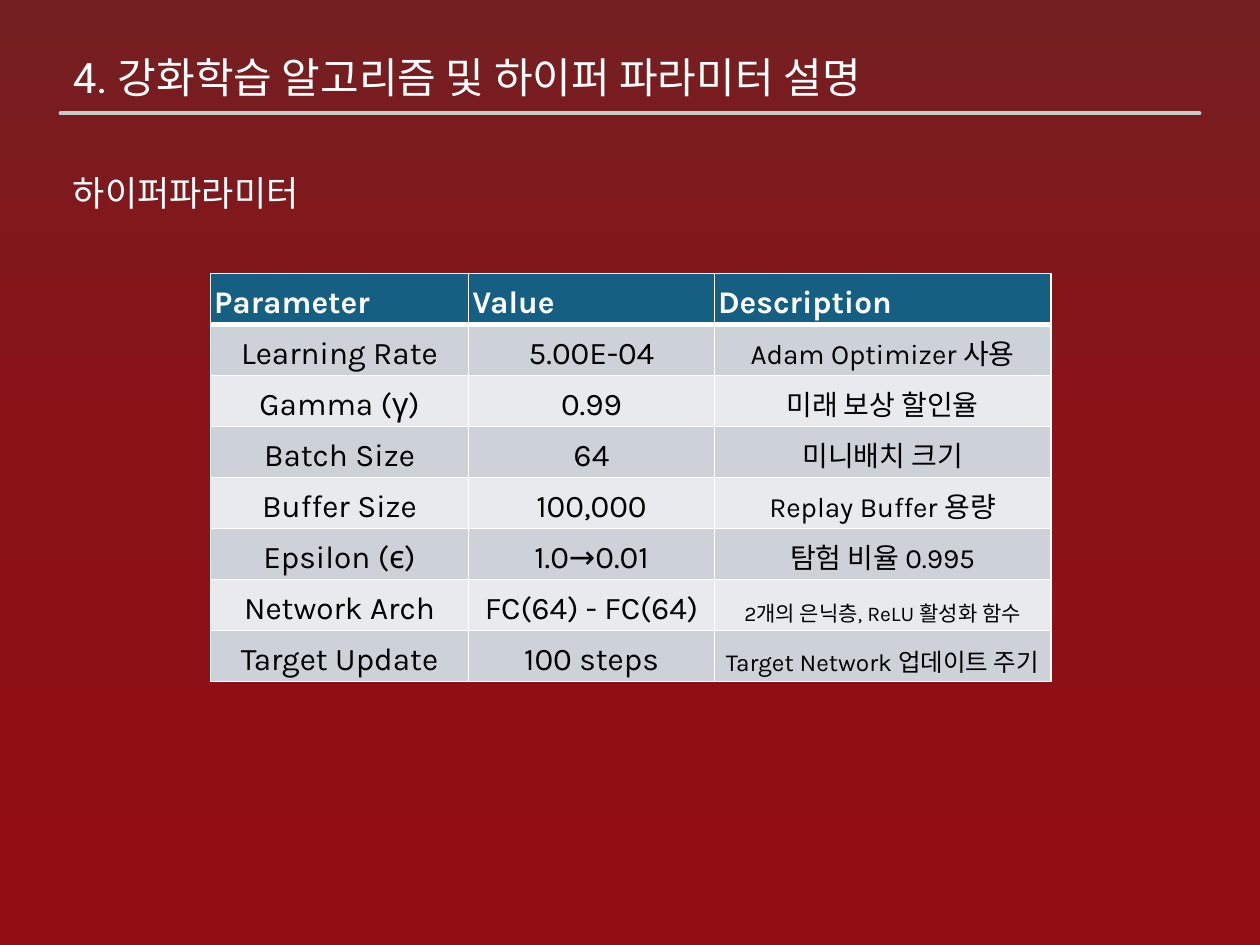
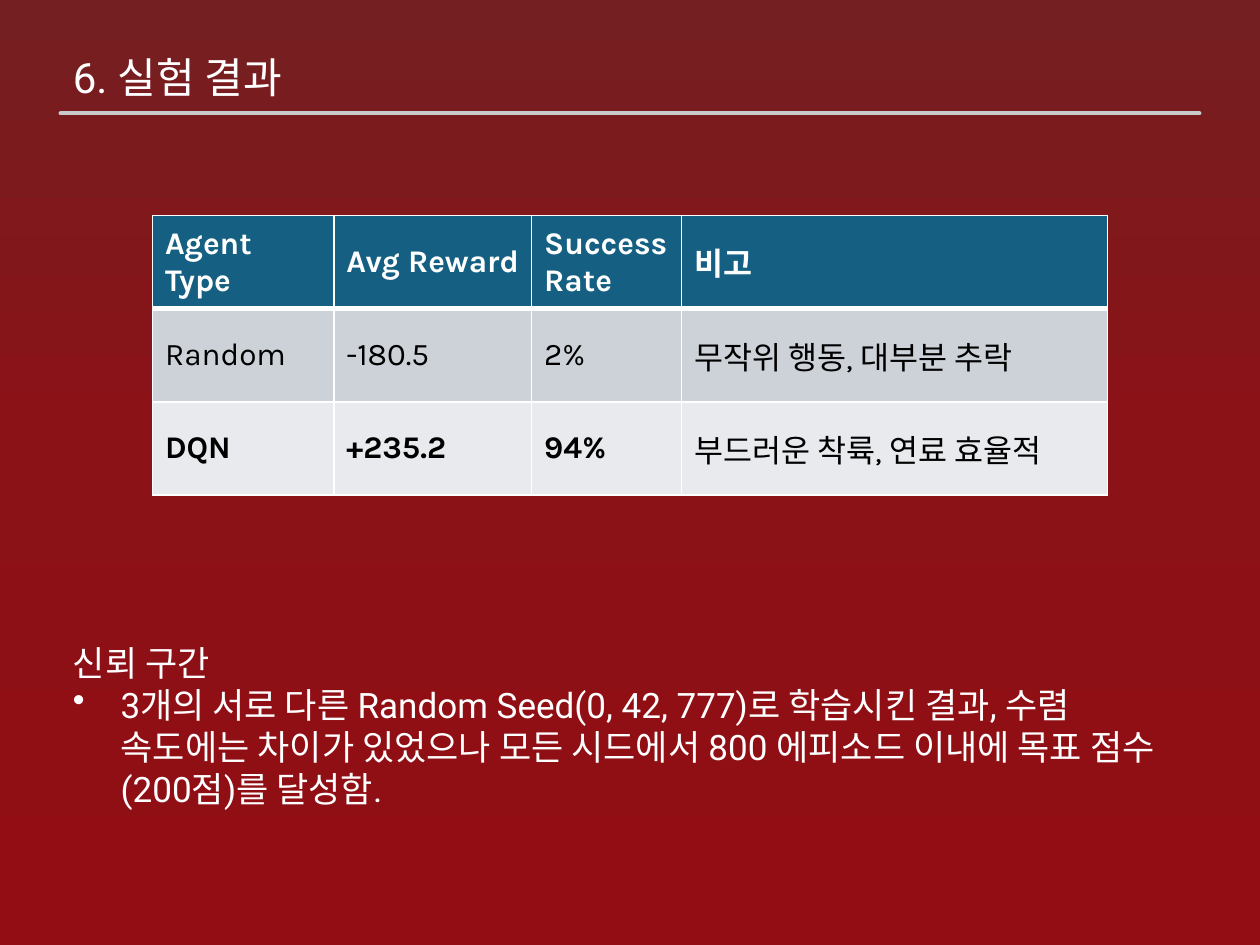
from lxml import etree
from pptx import Presentation
from pptx import util as u
from pptx.dml.color import RGBColor
from pptx.enum import shapes, text
from pptx.oxml.ns import qn

WHITE, BLACK, RULE = "FFFFFF", "000000", "C9CACA"
HEAD, BANDS = "156082", ("CCD2D8", "E8EAED")
GLOW = ((0, "741F21"), (46, "8B1217"), (100, "920D14"))
LEFT, WIDE = 0.48, 9.04
MID, LOW = text.MSO_ANCHOR.MIDDLE, text.MSO_ANCHOR.BOTTOM

PARAMS = (
    ("Parameter", "Value", "Description"),
    ("Learning Rate", "5.00E-04", "Adam Optimizer 사용"),
    ("Gamma (γ)", "0.99", "미래 보상 할인율"),
    ("Batch Size", "64", "미니배치 크기"),
    ("Buffer Size", "100,000", "Replay Buffer 용량"),
    ("Epsilon (ϵ)", "1.0→0.01", "탐험 비율 0.995"),
    ("Network Arch", "FC(64) - FC(64)", "2개의 은닉층, ReLU 활성화 함수"),
    ("Target Update", "100 steps", "Target Network 업데이트 주기"),
)
NOTES = (16, 16, 16, 16, 16, 12, 14)
SCORES = (
    ("Agent Type", "Avg Reward", "Success Rate", "비고"),
    ("Random", "-180.5", "2%", "무작위 행동, 대부분 추락"),
    ("DQN", "+235.2", "94%", "부드러운 착륙, 연료 효율적"),
)
SEEDS = ("3개의 서로 다른 Random Seed(0, 42, 777)로 학습시킨 결과, 수렴 속도에는 차이가 있었으나 "
         "모든 시드에서 800 에피소드 이내에 목표 점수(200점)를 달성함.")


def color(code):
    return RGBColor.from_string(code)


def node(root, tag, **attrs):
    return etree.SubElement(root, qn(tag), attrs)


class Deck:
    """Holds the shared style and the current slide."""

    def __init__(self):
        self.prs = Presentation()
        self.prs.slide_width = u.Inches(10)
        self.prs.slide_height = u.Inches(7.5)
        self.slide = None

    def page(self, title):
        self.slide = self.prs.slides.add_slide(self.prs.slide_layouts[6])
        fill = self.slide.background.fill
        fill.gradient()
        fill.gradient_angle = 270
        stops = next(self.slide.element.iter(qn("a:gsLst")))
        for old in list(stops):
            stops.remove(old)
        for pos, code in GLOW:
            stop = node(stops, "a:gs", pos=str(pos * 1000))
            node(stop, "a:srgbClr", val=code)
        self.label((title,), 0.36, 9.15, 0.5, 24)
        self.rule(0.9)

    def style(self, para, size, code, face="Roboto", bold=False):
        font = para.font
        font.name, font.size, font.bold = face, u.Pt(size), bold
        font.color.rgb = color(code)

    def label(self, lines, top, width, height, size):
        box = self.slide.shapes.add_textbox(
            u.Inches(LEFT), u.Inches(top), u.Inches(width), u.Inches(height))
        frame = box.text_frame
        frame.word_wrap = True
        frame.auto_size = text.MSO_AUTO_SIZE.SHAPE_TO_FIT_TEXT
        frame.text = "\n".join(lines)
        for para in frame.paragraphs:
            self.style(para, size, WHITE)
        return frame

    def bullet(self, para):
        props = para._p.get_or_add_pPr()
        indent = u.Inches(0.38)
        props.set("marL", str(indent))
        props.set("indent", str(-indent))
        mark = etree.Element(qn("a:buChar"), char="•")
        props.insert(0, mark)

    def rule(self, top):
        line = self.slide.shapes.add_connector(
            shapes.MSO_CONNECTOR.STRAIGHT, u.Inches(LEFT), u.Inches(top),
            u.Inches(LEFT + WIDE), u.Inches(top))
        line.line.color.rgb = color(RULE)
        line.line.width = u.Pt(2.25)
        line.get_or_add_ln().set("cap", "rnd")
        node(line.element.spPr, "a:effectLst")

    def border(self, cell, row):
        props = cell._tc.get_or_add_tcPr()
        widths = {"L": 1, "R": 1, "T": 3 if row == 1 else 1, "B": 1 if row else 3}
        for at, (side, width) in enumerate(widths.items()):
            edge = etree.Element(qn(f"a:ln{side}"), w=str(u.Pt(width)))
            node(node(edge, "a:solidFill"), "a:srgbClr", val=WHITE)
            props.insert(at, edge)

    def table(self, rows, left, top, cols, high, anchor):
        grid = self.slide.shapes.add_table(
            len(rows), len(cols), u.Inches(left), u.Inches(top),
            u.Inches(sum(cols)), u.Inches(high * len(rows))).table
        for col, width in zip(grid.columns, cols):
            col.width = u.Inches(width)
        for r, words in enumerate(rows):
            for c, word in enumerate(words):
                cell = grid.cell(r, c)
                cell.text = word
                cell.vertical_anchor = anchor
                cell.fill.solid()
                cell.fill.fore_color.rgb = color(BANDS[(r - 1) % 2] if r else HEAD)
                self.border(cell, r)
                self.style(cell.text_frame.paragraphs[0], 18,
                           BLACK if r else WHITE, "Karla", r == 0)
        return grid

    def inset(self, cell, side):
        cell.margin_left = cell.margin_right = u.Inches(side)
        cell.margin_top = cell.margin_bottom = u.Inches(0.02)


def params(deck):
    deck.page("4. 강화학습 알고리즘 및 하이퍼 파라미터 설명")
    deck.label(("하이퍼파라미터",), 1.31, WIDE, 0.77, 20)
    grid = deck.table(PARAMS, 1.67, 2.17, (2.05, 1.95, 2.67), 0.405, LOW)
    last = len(grid.columns) - 1
    for r in range(len(PARAMS)):
        for c in range(last + 1):
            cell = grid.cell(r, c)
            deck.inset(cell, 0 if r and c == last else 0.03)
            if r:
                cell.text_frame.paragraphs[0].alignment = text.PP_ALIGN.CENTER
    for r, size in enumerate(NOTES, 1):
        grid.cell(r, last).text_frame.paragraphs[0].font.size = u.Pt(size)


def scores(deck):
    deck.page("6. 실험 결과")
    frame = deck.label(("신뢰 구간", SEEDS), 5.04, WIDE, 1.45, 20)
    deck.bullet(frame.paragraphs[1])
    grid = deck.table(SCORES, 1.21, 1.71, (1.44, 1.57, 1.19, 3.38), 0.74, MID)
    for c in range(3):
        grid.cell(2, c).text_frame.paragraphs[0].font.bold = True


def main():
    deck = Deck()
    params(deck)
    scores(deck)
    deck.prs.save("out.pptx")


if __name__ == "__main__":
    main()
